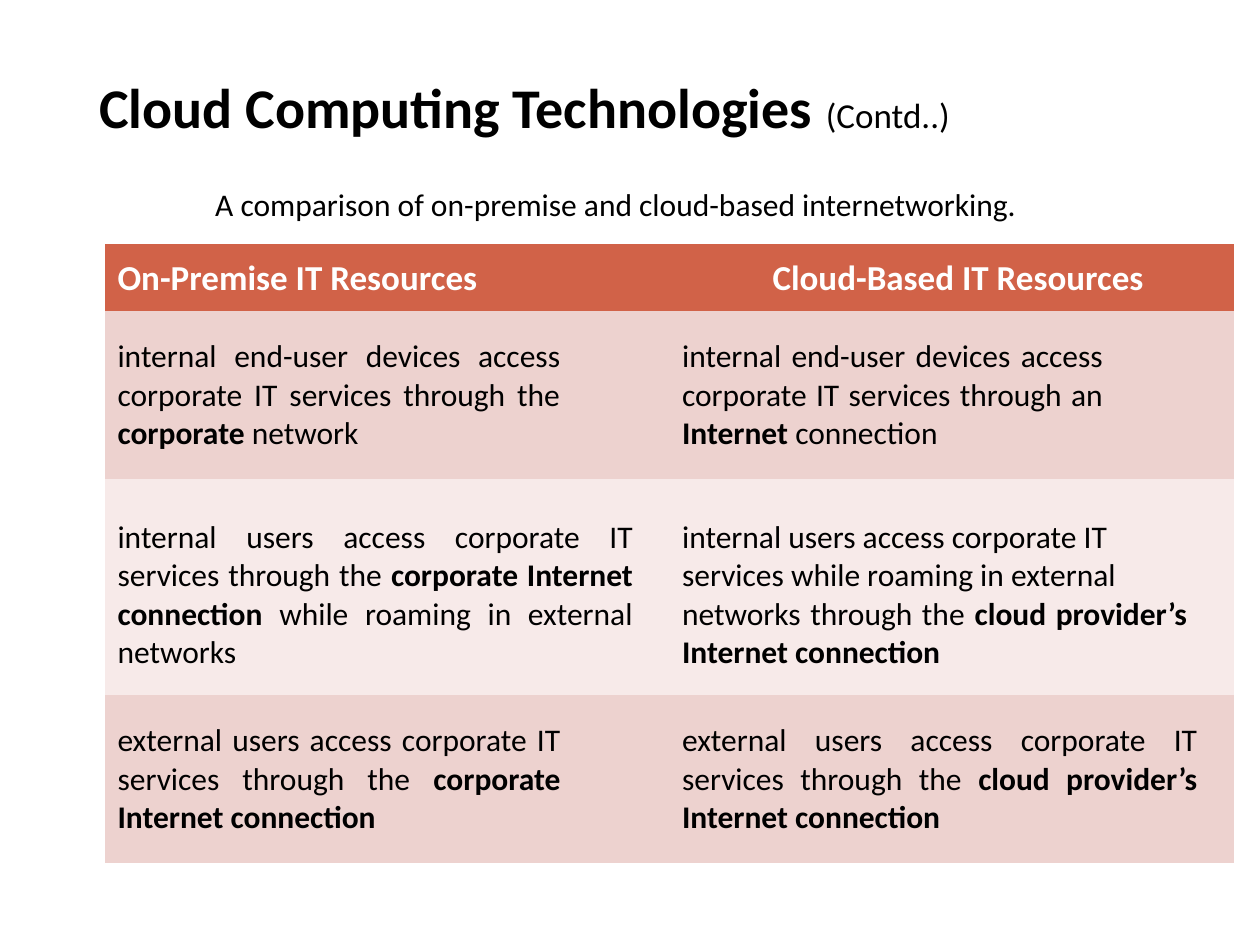
from pptx import Presentation
from pptx.dml.color import RGBColor
from pptx.enum.text import MSO_ANCHOR, PP_ALIGN
from pptx.oxml.ns import qn
from pptx.util import Cm, Pt

FONT = "Calibri"
NO_GRID_STYLE = "{2D5ABB26-0587-4C30-8999-92F81FD0307C}"
BLACK = RGBColor(0x00, 0x00, 0x00)
WHITE = RGBColor(0xFF, 0xFF, 0xFF)
HEADER_RED = RGBColor(0xD1, 0x62, 0x48)
BAND_DARK = RGBColor(0xED, 0xD2, 0xCF)
BAND_LIGHT = RGBColor(0xF7, 0xEA, 0xE9)

TITLE = [("Cloud Computing Technologies ", True, 32), ("(Contd..)", False, 20)]
CAPTION = [("A comparison of on-premise and cloud-based internetworking.", False, 18)]
HEADERS = ["On-Premise IT Resources", "Cloud-Based IT Resources"]

# Each body cell: right margin in cm, then paragraphs of (text, bold) runs.
BODY = [
    [
        (2.2, [[("internal end-user devices access corporate IT services through the ", False),
                ("corporate ", True), ("network", False)]]),
        (2.64, [[("internal end-user devices access corporate IT services through an ", False),
                 ("Internet ", True), ("connection", False)]]),
    ],
    [
        (0.74, [[("internal users access corporate IT services through the ", False),
                 ("corporate Internet connection", True),
                 (" while roaming in external networks", False)]]),
        (0.95, [[("internal users access corporate IT", False)],
                [("services while roaming in external", False)],
                [("networks through the ", False),
                 ("cloud provider’s Internet connection", True)]]),
    ],
    [
        (2.2, [[("external users access corporate IT services through the ", False),
                ("corporate Internet connection", True)]]),
        (0.74, [[("external users access corporate IT services through the ", False),
                 ("cloud provider’s Internet connection", True)]]),
    ],
]
BODY_TOP_MARGINS = [0.53, 0.8, 0.53]
BODY_FILLS = [BAND_DARK, BAND_LIGHT, BAND_DARK]
ROW_HEIGHTS = [0.69, 1.37, 3.37, 4.37, 3.37]
COLUMN_WIDTH = 11.38


def add_runs(paragraph, runs, color=BLACK):
    for text, bold, size in runs:
        run = paragraph.add_run()
        run.text = text
        run.font.name = FONT
        run.font.size = Pt(size)
        run.font.bold = bold
        run.font.color.rgb = color


def add_text(slide, left, top, width, height, runs, anchor):
    text_frame = slide.shapes.add_textbox(Cm(left), Cm(top), Cm(width), Cm(height)).text_frame
    text_frame.word_wrap = True
    text_frame.vertical_anchor = anchor
    paragraph = text_frame.paragraphs[0]
    add_runs(paragraph, runs)
    return paragraph


def set_margins(cell, left, top, right):
    cell.margin_left, cell.margin_top = Cm(left), Cm(top)
    cell.margin_right, cell.margin_bottom = Cm(right), Cm(0)


def fill_cell(cell, color, top, right):
    cell.fill.solid()
    cell.fill.fore_color.rgb = color
    set_margins(cell, 0.25, top, right)


def add_comparison_table(slide):
    frame = slide.shapes.add_table(len(ROW_HEIGHTS), len(HEADERS), Cm(2.12), Cm(4.22),
                                   Cm(COLUMN_WIDTH * len(HEADERS)), Cm(sum(ROW_HEIGHTS)))
    table = frame.table
    table.first_row = table.horz_banding = False
    frame._element.find(".//" + qn("a:tableStyleId")).text = NO_GRID_STYLE
    for column in table.columns:
        column.width = Cm(COLUMN_WIDTH)
    for row, height in zip(table.rows, ROW_HEIGHTS):
        row.height = Cm(height)

    for cell in table.rows[0].cells:
        set_margins(cell, 0, 0, 0)
        cell.text_frame.paragraphs[0]._p.get_or_add_endParaRPr().set("sz", "1000")

    alignments = [PP_ALIGN.LEFT, PP_ALIGN.CENTER]
    for cell, header, alignment in zip(table.rows[1].cells, HEADERS, alignments):
        fill_cell(cell, HEADER_RED, 0.28, 0)
        paragraph = cell.text_frame.paragraphs[0]
        paragraph.alignment = alignment
        add_runs(paragraph, [(header, True, 20)], WHITE)

    for row_index, contents in enumerate(BODY):
        for column_index, (right, paragraphs) in enumerate(contents):
            cell = table.cell(row_index + 2, column_index)
            fill_cell(cell, BODY_FILLS[row_index], BODY_TOP_MARGINS[row_index], right)
            for index, runs in enumerate(paragraphs):
                text_frame = cell.text_frame
                paragraph = text_frame.add_paragraph() if index else text_frame.paragraphs[0]
                paragraph.alignment = PP_ALIGN.JUSTIFY
                add_runs(paragraph, [(text, bold, 18) for text, bold in runs])


def main():
    presentation = Presentation()
    presentation.slide_width, presentation.slide_height = Cm(25.4), Cm(19.05)
    slide = presentation.slides.add_slide(presentation.slide_layouts[6])
    title = add_text(slide, 1.75, 0.38, 21.9, 3.68, TITLE, MSO_ANCHOR.MIDDLE)
    title.line_spacing = 0.9
    add_comparison_table(slide)
    add_text(slide, 4.09, 3.61, 17.35, 1.02, CAPTION, MSO_ANCHOR.TOP)
    presentation.save("out.pptx")


if __name__ == "__main__":
    main()
